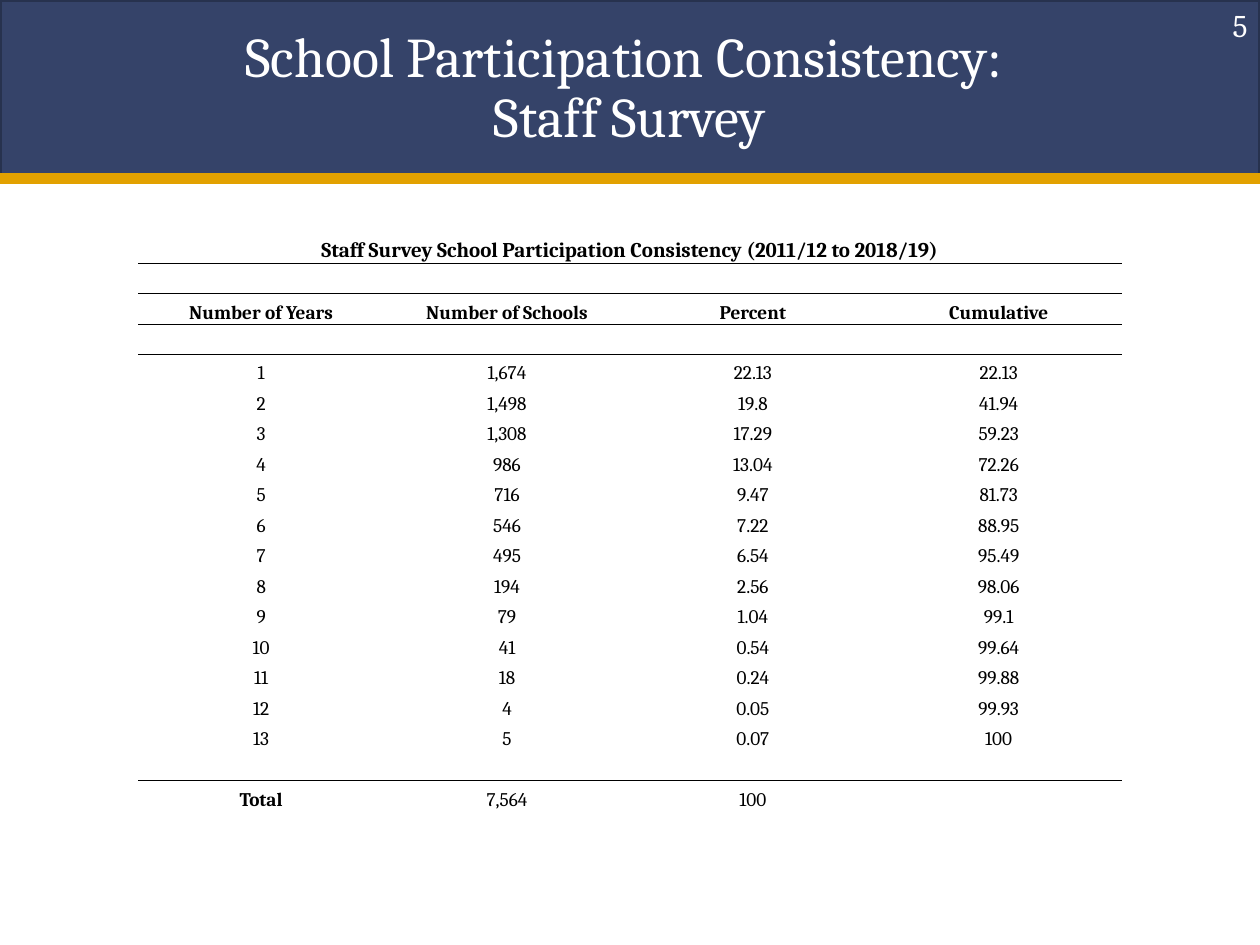
from pptx import Presentation
from pptx.dml.color import RGBColor
from pptx.enum.shapes import MSO_CONNECTOR as Connector, MSO_SHAPE as Shape
from pptx.enum.text import MSO_ANCHOR as Anchor, MSO_AUTO_SIZE as AutoSize, PP_ALIGN as Align
from pptx.oxml import parse_xml
from pptx.oxml.ns import nsdecls, qn
from pptx.util import Pt

NO_STYLE = "{2D5ABB26-0587-4C30-8999-92F81FD0307C}"


def colour(value):
    return RGBColor.from_string(value)


def write(frame, text, size, font="Cambria", ink="000000", bold=False,
          align=Align.CENTER, anchor=Anchor.MIDDLE, spacing=1.0):
    frame.word_wrap = True
    frame.vertical_anchor = anchor
    para = frame.paragraphs[0]
    para.alignment = align
    para.line_spacing = spacing
    for index, line in enumerate(text.split("\n")):
        if index:
            para.add_line_break()
        span = para.add_run()
        span.text = line
        span.font.name = font
        span.font.size = Pt(size)
        span.font.bold = bold
        span.font.color.rgb = colour(ink)


class SlideBuilder:
    navy, edge, gold, white, black = "354369", "27324E", "E2A100", "FFFFFF", "000000"

    def __init__(self, page):
        self.page = page

    def band(self, left, top, width, height):
        box = self.page.shapes.add_shape(
            Shape.RECTANGLE, Pt(left), Pt(top), Pt(width), Pt(height))
        box.shadow.inherit = False
        box.fill.solid()
        box.fill.fore_color.rgb = colour(self.navy)
        box.line.color.rgb = colour(self.edge)
        box.line.width = Pt(2)

    def rule(self, left, right, top):
        line = self.page.shapes.add_connector(
            Connector.STRAIGHT, Pt(left), Pt(top), Pt(right), Pt(top))
        line.line.color.rgb = colour(self.gold)
        line.line.width = Pt(6)
        line.element.spPr.append(parse_xml(f"<a:effectLst {nsdecls('a')}/>"))

    def title(self, text, left, top, width, height):
        box = self.page.shapes.title
        box.left, box.top, box.width, box.height = map(Pt, (left, top, width, height))
        box.element.getparent().append(box.element)
        write(box.text_frame, text, 32, ink=self.white, spacing=0.9)
        box.text_frame.auto_size = AutoSize.NONE

    def number(self, text, left, top, width, height):
        box = self.page.shapes.add_textbox(Pt(left), Pt(top), Pt(width), Pt(height))
        write(box.text_frame, text, 18, ink=self.white, align=Align.RIGHT)

    def border(self, cell, side):
        cell._tc.get_or_add_tcPr().append(parse_xml(
            f'<a:{side} {nsdecls("a")} w="{Pt(0.5)}"><a:solidFill>'
            f'<a:srgbClr val="{self.black}"/></a:solidFill></a:{side}>'))

    def cell(self, cell, text, size, bold, sides):
        cell.margin_left = cell.margin_right = cell.margin_top = Pt(0.72)
        cell.margin_bottom = 0
        cell.vertical_anchor = Anchor.BOTTOM
        for side in sides:
            self.border(cell, side)
        cell.fill.background()
        if text:
            write(cell.text_frame, text, size, bold=bold, anchor=Anchor.BOTTOM)
        else:
            cell.text_frame.paragraphs[0]._p.get_or_add_endParaRPr().set("sz", str(size * 100))

    def table(self, rows, left, top, width, heights, ruled, bold_cells):
        count = len(rows[1])
        frame = self.page.shapes.add_table(
            len(rows), count, Pt(left), Pt(top), Pt(width), Pt(sum(heights)))
        table = frame.table
        table.first_row = table.horz_banding = False
        next(frame.element.iter(qn("a:tableStyleId"))).text = NO_STYLE
        for column in table.columns:
            column.width = Pt(width / count)
        for r, (row, height) in enumerate(zip(rows, heights)):
            table.rows[r].height = Pt(height)
            sides = ["lnT"] * (r - 1 in ruled) + ["lnB"] * (r in ruled)
            for c, text in enumerate(row):
                bold = r in bold_cells and c in bold_cells[r]
                self.cell(table.cell(r, c), text, 11 if r else 12, bold, sides)
        table.cell(0, 0).merge(table.cell(0, count - 1))


BLANK = [""] * 4
CAPTION = ["Staff Survey School Participation Consistency (2011/12 to 2018/19)", "", "", ""]
HEADINGS = ["Number of Years", "Number of Schools", "Percent", "Cumulative"]
SCHOOLS = ["1,674", "1,498", "1,308", "986", "716", "546", "495",
           "194", "79", "41", "18", "4", "5"]
PERCENTS = ["22.13", "19.8", "17.29", "13.04", "9.47", "7.22", "6.54",
            "2.56", "1.04", "0.54", "0.24", "0.05", "0.07"]
CUMULATIVE = ["22.13", "41.94", "59.23", "72.26", "81.73", "88.95", "95.49",
              "98.06", "99.1", "99.64", "99.88", "99.93", "100"]
YEARS = [[str(year), *values]
         for year, values in enumerate(zip(SCHOOLS, PERCENTS, CUMULATIVE), 1)]
TOTAL = ["Total", "7,564", "100", ""]
ROWS = [CAPTION, BLANK, HEADINGS, BLANK, *YEARS, BLANK, TOTAL]
LAST = len(ROWS) - 1

deck = Presentation()
deck.slide_width, deck.slide_height = Pt(720), Pt(540)
slide = SlideBuilder(deck.slides.add_slide(deck.slide_layouts[5]))
slide.band(0, 0, 720, 102)
slide.rule(-1.5, 722, 102)
slide.title("School Participation Consistency: \nStaff Survey", 36, 6, 648, 90)
slide.table(ROWS, 79, 131.8, 562, [18.5] + [17.42] * LAST,
            ruled={0, 2, LAST - 1}, bold_cells={0: {0}, 2: {0, 1, 2, 3}, LAST: {0}})
slide.number("5", 552, 0, 168, 29)
deck.save("out.pptx")
